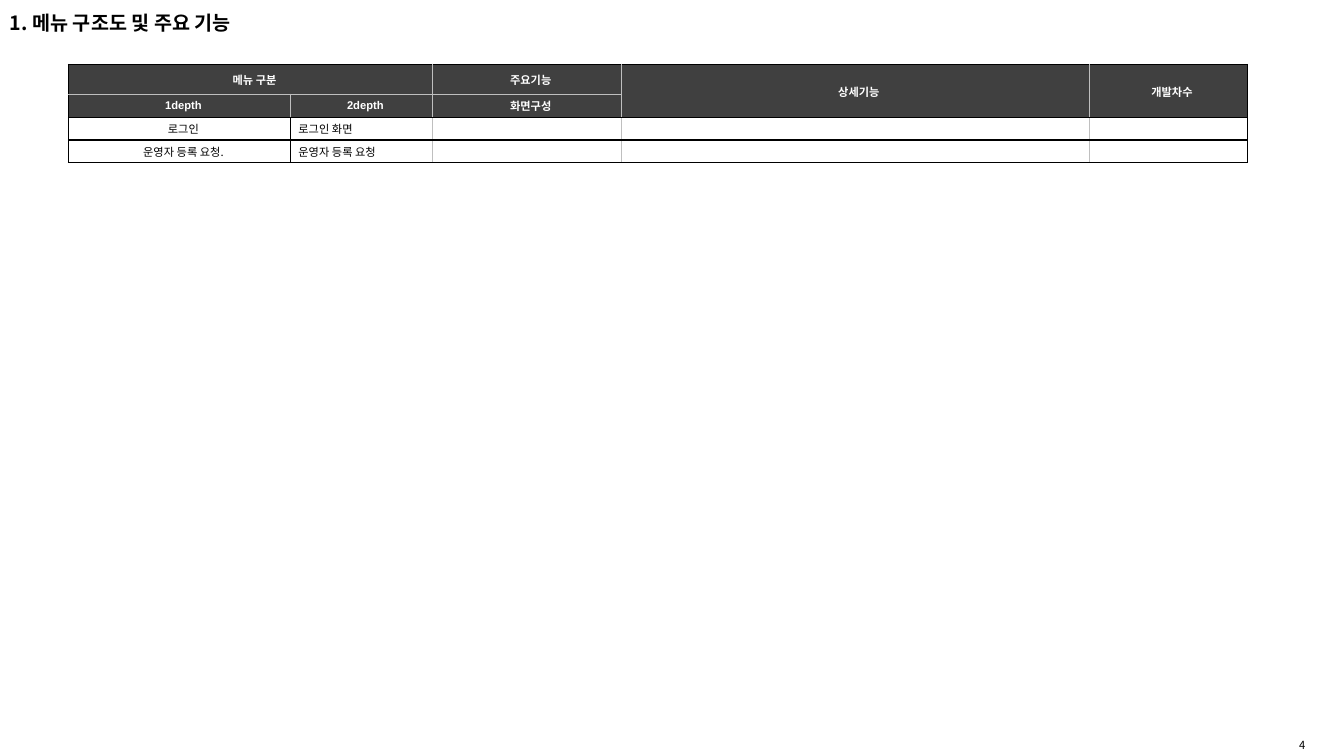
import pptx
import pptx.dml.color
import pptx.enum.text
import pptx.util
from lxml import etree
from pptx.oxml.ns import qn

ALIGN = pptx.enum.text.PP_ALIGN
MIDDLE = pptx.enum.text.MSO_ANCHOR.MIDDLE
NOTO, ARIAL = "Noto Sans CJK KR", "Arial"
BLACK, WHITE, DARK, GREY = "000000", "FFFFFF", "404040", "BFBFBF"
WIDTH, HEIGHT = 13.33, 7.5

COLUMNS = [2.2, 1.41, 1.87, 4.64, 1.57]
ROWS = [0.29, 0.24, 0.22, 0.22]
HEADER_ROWS = 2
MENU = [
    ["메뉴 구분", "", "주요기능", "상세기능", "개발차수"],
    ["1depth", "2depth", "화면구성", "", ""],
    ["로그인", "로그인 화면", "", "", ""],
    ["운영자 등록 요청.", "운영자 등록 요청", "", "", ""],
]
MERGES = [((0, 0), (0, 1)), ((0, 3), (1, 3)), ((0, 4), (1, 4))]


def rgb(value):
    return pptx.dml.color.RGBColor.from_string(value)


def inches(*values):
    return [pptx.util.Inches(v) for v in values]


def apply(obj, formats):
    for name, value in formats.items():
        setattr(obj, name, value)


def write(p, text, size, font, color=BLACK, bold=False, align=ALIGN.LEFT):
    p.alignment = align
    r = p.add_run()
    r.text = text
    apply(r.font, {"size": pptx.util.Pt(size), "name": font, "bold": bold})
    r.font.color.rgb = rgb(color)
    ea = etree.SubElement(r.font._element, qn("a:ea"))
    ea.set("typeface", NOTO)


def add_text(s, box, text, size, insets, **formats):
    tf = s.shapes.add_textbox(*inches(*box)).text_frame
    x, y = inches(*insets)
    apply(tf, {"word_wrap": True, "vertical_anchor": MIDDLE,
               "margin_left": x, "margin_right": x,
               "margin_top": y, "margin_bottom": y})
    write(tf.paragraphs[0], text, size, NOTO, **formats)


def set_border(cell, side, color):
    width = pptx.util.Pt(1 if color == BLACK else 0.25)
    ln = etree.SubElement(cell._tc.get_or_add_tcPr(), qn("a:ln" + side), w=str(width))
    fill = etree.SubElement(ln, qn("a:solidFill"))
    etree.SubElement(fill, qn("a:srgbClr"), val=color)


def vertical_edge(row, edge):
    """Black at the outer edges and around the first body column."""
    outer = edge in (0, len(COLUMNS))
    return BLACK if outer or (edge == 1 and row >= HEADER_ROWS) else GREY


def horizontal_edge(edge):
    """Grey only between the two header rows."""
    return GREY if edge == 1 else BLACK


def fill_cell(cell, row, col, text):
    header = row < HEADER_ROWS
    left, none = inches(0.08, 0)
    apply(cell, {"margin_left": left, "margin_right": none, "margin_top": none,
                 "margin_bottom": none, "vertical_anchor": MIDDLE})
    for side, color in (("L", vertical_edge(row, col)),
                        ("R", vertical_edge(row, col + 1)),
                        ("T", horizontal_edge(row)),
                        ("B", horizontal_edge(row + 1))):
        set_border(cell, side, color)
    cell.fill.solid()
    cell.fill.fore_color.rgb = rgb(DARK if header else WHITE)
    p = cell.text_frame.paragraphs[0]
    if text:
        write(p, text, 8, NOTO if not header and col == 0 else ARIAL,
              WHITE if header else BLACK, header,
              ALIGN.CENTER if header or col == 0 else ALIGN.LEFT)
    else:
        p._p.get_or_add_endParaRPr().set("sz", "800")


def add_menu_table(s, left, top):
    box = inches(left, top, sum(COLUMNS), sum(ROWS))
    table = s.shapes.add_table(len(ROWS), len(COLUMNS), *box).table
    apply(table, {"first_row": False, "horz_banding": False})
    for column, width in zip(table.columns, inches(*COLUMNS)):
        column.width = width
    for row, height in zip(table.rows, inches(*ROWS)):
        row.height = height
    for i, texts in enumerate(MENU):
        for j, text in enumerate(texts):
            fill_cell(table.cell(i, j), i, j, text)
    for first, last in MERGES:
        table.cell(*first).merge(table.cell(*last))


def main():
    prs = pptx.Presentation()
    prs.slide_width, prs.slide_height = inches(WIDTH, HEIGHT)
    s = prs.slides.add_slide(prs.slide_layouts[6])
    # Page number in the bottom right corner
    add_text(s, (WIDTH - 0.83, 7.31, 0.83, 0.16), "4", 8, (0, 0), align=ALIGN.CENTER)
    # Menu table
    add_menu_table(s, 0.68, 0.64)
    # Title
    add_text(s, (0, 0.06, 3.95, 0.34), "1. 메뉴 구조도 및 주요 기능", 14, (0.1, 0.05), bold=True)
    prs.save("out.pptx")


if __name__ == "__main__":
    main()
